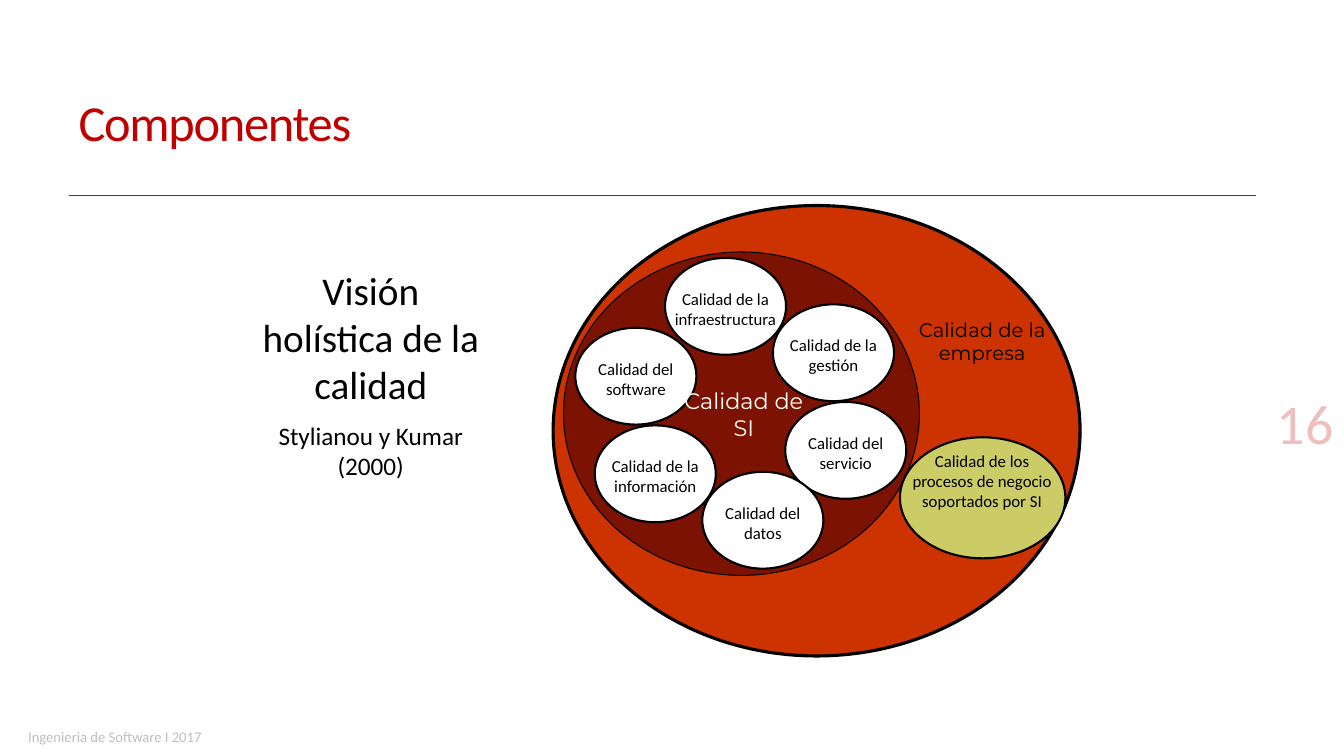
from dataclasses import dataclass

from lxml.etree import SubElement
from pptx import Presentation
from pptx.dml.color import RGBColor
from pptx.enum.shapes import MSO_CONNECTOR, MSO_SHAPE
from pptx.enum.text import MSO_ANCHOR, PP_ALIGN
from pptx.oxml.ns import qn
from pptx.shapes.autoshape import Shape
from pptx.slide import Slide
from pptx.util import Cm, Pt


@dataclass
class Box:
    left: float
    top: float
    width: float
    height: float


@dataclass
class Oval:
    box: Box
    fill: str
    line_width: float


@dataclass
class Line:
    text: str
    size: float
    color: str = "000000"
    font: str = "Calibri"
    align: PP_ALIGN = PP_ALIGN.CENTER
    space_before: float = 0
    line_spacing: float = 1.0


@dataclass
class Label:
    box: Box
    line: Line


@dataclass
class Component:
    text: str
    left: float
    top: float


COMPONENT_WIDTH = 3.05
COMPONENT_HEIGHT = 2.44
LABEL_OFFSET = 0.72
LABEL_HEIGHT = 1.12
LABEL_INSETS = (0.13, 0.05)
DEFAULT_INSETS = (0.25, 0.13)

COMPONENTS = [
    Component("Calidad de la infraestructura", 16.76, 6.5),
    Component("Calidad de la gestión", 19.48, 7.67),
    Component("Calidad del servicio", 19.79, 10.13),
    Component("Calidad del software", 14.5, 8.26),
    Component("Calidad de la información", 14.99, 10.72),
    Component("Calidad del datos", 17.7, 11.89),
]

OVALS = [
    Oval(Box(13.94, 5.18, 13.28, 11.35), "CC3300", 2.25),
    Oval(Box(14.2, 6.35, 8.97, 8.15), "7C1302", 0.75),
    Oval(Box(22.68, 11.02, 4.17, 3.05), "CCCC66", 1.5),
] + [
    Oval(Box(item.left, item.top, COMPONENT_WIDTH, COMPONENT_HEIGHT), "FFFFFF", 1.5)
    for item in COMPONENTS
]

LABELS = [
    Label(
        Box(item.left, item.top + LABEL_OFFSET, COMPONENT_WIDTH, LABEL_HEIGHT),
        Line(item.text, 12),
    )
    for item in COMPONENTS
] + [
    Label(
        Box(22.83, 11.3, 3.84, 2.26),
        Line("Calidad de los procesos de negocio soportados por SI", 12),
    ),
    Label(
        Box(22.99, 7.95, 3.53, 2.26),
        Line("Calidad de la empresa", 14, font="Montserrat"),
    ),
    Label(
        Box(17.07, 9.7, 3.35, 1.35),
        Line("Calidad de SI", 16, "FFFFFF", "Montserrat"),
    ),
]


def color_of(value: str) -> RGBColor:
    return RGBColor.from_string(value)


def lengths(box: Box) -> tuple[Cm, Cm, Cm, Cm]:
    return Cm(box.left), Cm(box.top), Cm(box.width), Cm(box.height)


def add_oval(slide: Slide, oval: Oval) -> None:
    shape = slide.shapes.add_shape(MSO_SHAPE.OVAL, *lengths(oval.box))
    shape.shadow.inherit = False
    shape.fill.solid()
    shape.fill.fore_color.rgb = color_of(oval.fill)
    shape.line.color.rgb = color_of("000000")
    shape.line.width = Pt(oval.line_width)


def add_text(
    slide: Slide,
    box: Box,
    lines: list[Line],
    anchor: MSO_ANCHOR = MSO_ANCHOR.TOP,
    insets: tuple[float, float] = DEFAULT_INSETS,
) -> Shape:
    shape = slide.shapes.add_textbox(*lengths(box))
    frame = shape.text_frame
    frame.word_wrap = True
    frame.vertical_anchor = anchor
    frame.margin_left = frame.margin_right = Cm(insets[0])
    frame.margin_top = frame.margin_bottom = Cm(insets[1])
    frame.text = "\n".join(line.text for line in lines)
    for paragraph, line in zip(frame.paragraphs, lines):
        paragraph.alignment = line.align
        paragraph.space_before = Pt(line.space_before)
        paragraph.line_spacing = line.line_spacing
        paragraph.font.size = Pt(line.size)
        paragraph.font.name = line.font
        paragraph.font.color.rgb = color_of(line.color)
    return shape


def add_rule(slide: Slide, left: float, right: float, top: float) -> None:
    rule = slide.shapes.add_connector(
        MSO_CONNECTOR.STRAIGHT, Cm(left), Cm(top), Cm(right), Cm(top)
    )
    rule.line.color.rgb = color_of("404040")
    rule.line.width = Pt(0.75)
    SubElement(rule.element.find(qn("p:spPr")), qn("a:effectLst"))


def add_title(slide: Slide) -> None:
    line = Line("Componentes", 36, "C00000", align=PP_ALIGN.LEFT, line_spacing=0.85)
    title = add_text(slide, Box(1.73, 1.4, 30.02, 3.53), [line], MSO_ANCHOR.MIDDLE)
    for properties in title.element.iter(qn("a:defRPr")):
        properties.set("spc", "-90")


def main() -> None:
    presentation = Presentation()
    presentation.slide_width = Cm(33.87)
    presentation.slide_height = Cm(19.05)
    slide = presentation.slides.add_slide(presentation.slide_layouts[6])

    add_rule(slide, 1.73, 31.65, 4.93)
    add_title(slide)
    footer = Line("Ingenieria de Software I 2017", 10.5, "BFBFBF", align=PP_ALIGN.LEFT)
    add_text(slide, Box(0.46, 18.21, 5.99, 0.58), [footer])
    number = Line("16", 40, "EFBFBF", align=PP_ALIGN.RIGHT)
    add_text(slide, Box(25.73, 7.72, 8.13, 3.89), [number], MSO_ANCHOR.BOTTOM)
    vision = [
        Line("Visión holística de la calidad", 28),
        Line("Stylianou y Kumar (2000)", 18, space_before=9),
    ]
    add_text(slide, Box(6.12, 6.58, 6.45, 5.77), vision)

    for oval in OVALS:
        add_oval(slide, oval)
    for label in LABELS:
        add_text(slide, label.box, [label.line], insets=LABEL_INSETS)

    presentation.save("out.pptx")


if __name__ == "__main__":
    main()
